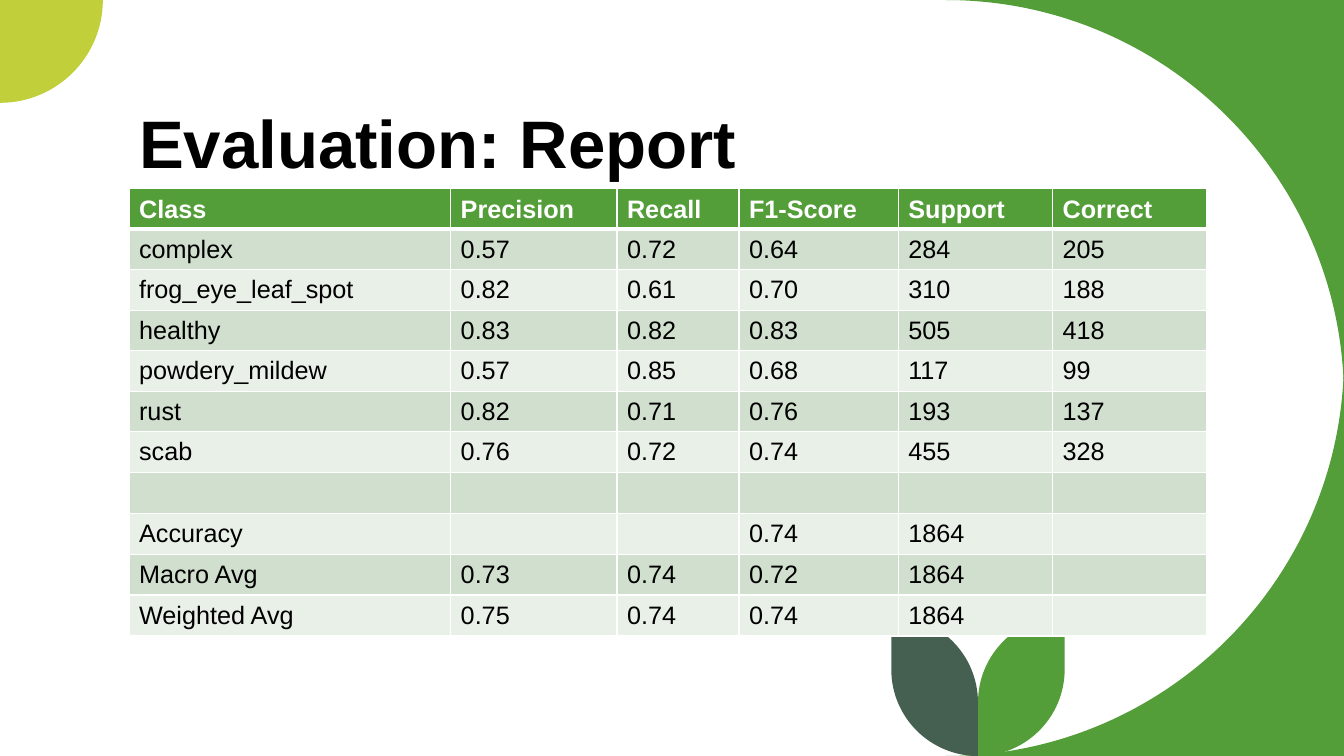
import math

import pptx
import pptx.dml.color
import pptx.enum.text
import pptx.oxml
import pptx.oxml.ns
import pptx.util

WIDTH, HEIGHT = 13.33, 7.5
FONT = "Arial"
COLORS = {
    "green": "549E39",
    "lime": "C0CF3A",
    "dark": "455F51",
    "band": "D1DFCE",
    "pale": "E9F0E8",
    "white": "FFFFFF",
    "black": "000000",
}
COLUMN_WIDTHS = [3.19, 1.65, 1.21, 1.58, 1.53, 1.53]
REPORT = [
    ["Class", "Precision", "Recall", "F1-Score", "Support", "Correct"],
    ["complex", "0.57", "0.72", "0.64", "284", "205"],
    ["frog_eye_leaf_spot", "0.82", "0.61", "0.70", "310", "188"],
    ["healthy", "0.83", "0.82", "0.83", "505", "418"],
    ["powdery_mildew", "0.57", "0.85", "0.68", "117", "99"],
    ["rust", "0.82", "0.71", "0.76", "193", "137"],
    ["scab", "0.76", "0.72", "0.74", "455", "328"],
    ["", "", "", "", "", ""],
    ["Accuracy", "", "", "0.74", "1864", ""],
    ["Macro Avg", "0.73", "0.74", "0.72", "1864", ""],
    ["Weighted Avg", "0.75", "0.74", "0.74", "1864", ""],
]


def rgb(name):
    return pptx.dml.color.RGBColor.from_string(COLORS[name])


def quarter_curve(center_x, center_y, radius, start):
    """Start, two control points and end of a clockwise quarter circle."""
    cos, sin = (round(turn(math.radians(start))) for turn in (math.cos, math.sin))
    pull = 4 / 3 * (math.sqrt(2) - 1)
    return [(center_x + radius * (along * cos - across * sin),
             center_y + radius * (along * sin + across * cos))
            for along, across in ((1, 0), (1, pull), (pull, 1), (0, 1))]


def bend_segments(shape):
    """Turn the last three segments of each group of four points into a curve."""
    segments = list(shape._element.iter(pptx.oxml.ns.qn("a:lnTo")))
    for end in range(len(segments), 0, -4):
        group = segments[end - 3:end]
        curve = pptx.oxml.parse_xml(f'<a:cubicBezTo {pptx.oxml.ns.nsdecls("a")}/>')
        group[0].addprevious(curve)
        for segment in group:
            curve.append(segment[0])
            segment.getparent().remove(segment)


def draw_outline(page, points, color):
    points = [(pptx.util.Inches(x), pptx.util.Inches(y)) for x, y in points]
    builder = page.shapes.build_freeform(*points[0])
    builder.add_line_segments(points[1:], close=True)
    shape = builder.convert_to_shape()
    bend_segments(shape)
    shape.shadow.inherit = False
    shape.fill.solid()
    shape.fill.fore_color.rgb = rgb(color)
    shape.line.fill.background()


def draw_corners(page, radius, dot_radius):
    """Two green corners hollowed by a circle, and a lime quarter disc."""
    left = WIDTH - radius
    draw_outline(page, [(WIDTH, 0)] + quarter_curve(left, radius, radius, 270), "green")
    draw_outline(page, [(WIDTH, HEIGHT)]
                 + quarter_curve(left, HEIGHT - radius, radius, 0), "green")
    draw_outline(page, [(0, 0)] + quarter_curve(0, 0, dot_radius, 0), "lime")


def draw_leaves(page, stem, top, width, bottom):
    """A pair of mirrored leaves that meet at the stem."""
    leaf = (quarter_curve(0, bottom - width, width, 0)
            + quarter_curve(width, top + width, width, 180))
    for side, color in ((1, "green"), (-1, "dark")):
        draw_outline(page, [(stem + side * x, y) for x, y in leaf], color)


def style_text(para, size, color, bold):
    for span in para.runs:
        span.font.name = FONT
        span.font.size = pptx.util.Pt(size)
        span.font.bold = bold
        span.font.color.rgb = rgb(color)


def place_title(page, text, left, top, width, height):
    title = page.shapes.title
    title._element.getparent().append(title._element)
    title.left, title.top, title.width, title.height = map(
        pptx.util.Inches, (left, top, width, height))
    frame = title.text_frame
    frame.text = text
    frame.word_wrap = True
    frame.auto_size = pptx.enum.text.MSO_AUTO_SIZE.NONE
    frame.vertical_anchor = pptx.enum.text.MSO_ANCHOR.BOTTOM
    para = frame.paragraphs[0]
    para.alignment = pptx.enum.text.PP_ALIGN.LEFT
    para.line_spacing = 0.9
    style_text(para, 48, "black", True)


def add_borders(cell, top, bottom):
    properties = cell._tc.get_or_add_tcPr()
    for side, points in (("L", 1), ("R", 1), ("T", top), ("B", bottom)):
        properties.append(pptx.oxml.parse_xml(
            f'<a:ln{side} {pptx.oxml.ns.nsdecls("a")} w="{pptx.util.Pt(points)}">'
            f'<a:solidFill><a:srgbClr val="{COLORS["white"]}"/></a:solidFill>'
            f'</a:ln{side}>'))


def fill_cell(cell, text, row):
    header = row == 0
    add_borders(cell, 3 if row == 1 else 1, 3 if header else 1)
    cell.fill.solid()
    cell.fill.fore_color.rgb = rgb("green" if header else "band" if row % 2 else "pale")
    anchors = pptx.enum.text.MSO_ANCHOR
    cell.vertical_anchor = anchors.BOTTOM if header else anchors.MIDDLE
    if text:
        cell.text_frame.text = text
        style_text(cell.text_frame.paragraphs[0], 18,
                   "white" if header else "black", header)


def place_report(page, left, top, width, height):
    box = map(pptx.util.Inches, (left, top, width, height))
    table = page.shapes.add_table(len(REPORT), len(COLUMN_WIDTHS), *box).table
    for column, share in zip(table.columns, COLUMN_WIDTHS):
        column.width = pptx.util.Inches(width * share / sum(COLUMN_WIDTHS))
    for row, texts in enumerate(REPORT):
        table.rows[row].height = pptx.util.Inches(height / len(REPORT))
        for column, text in enumerate(texts):
            fill_cell(table.cell(row, column), text, row)


def main():
    deck = pptx.Presentation()
    deck.slide_width = pptx.util.Inches(WIDTH)
    deck.slide_height = pptx.util.Inches(HEIGHT)
    page = deck.slides.add_slide(deck.slide_layouts[5])
    left, width, table_top = 1.28, 10.69, 1.87
    draw_corners(page, 3.95, 1.02)
    draw_leaves(page, 9.7, 6.11, 0.86, HEIGHT)
    place_title(page, "Evaluation: Report", left, 0.42, width, table_top - 0.42)
    place_report(page, left, table_top, width, 4.43)
    deck.save("out.pptx")


if __name__ == "__main__":
    main()
